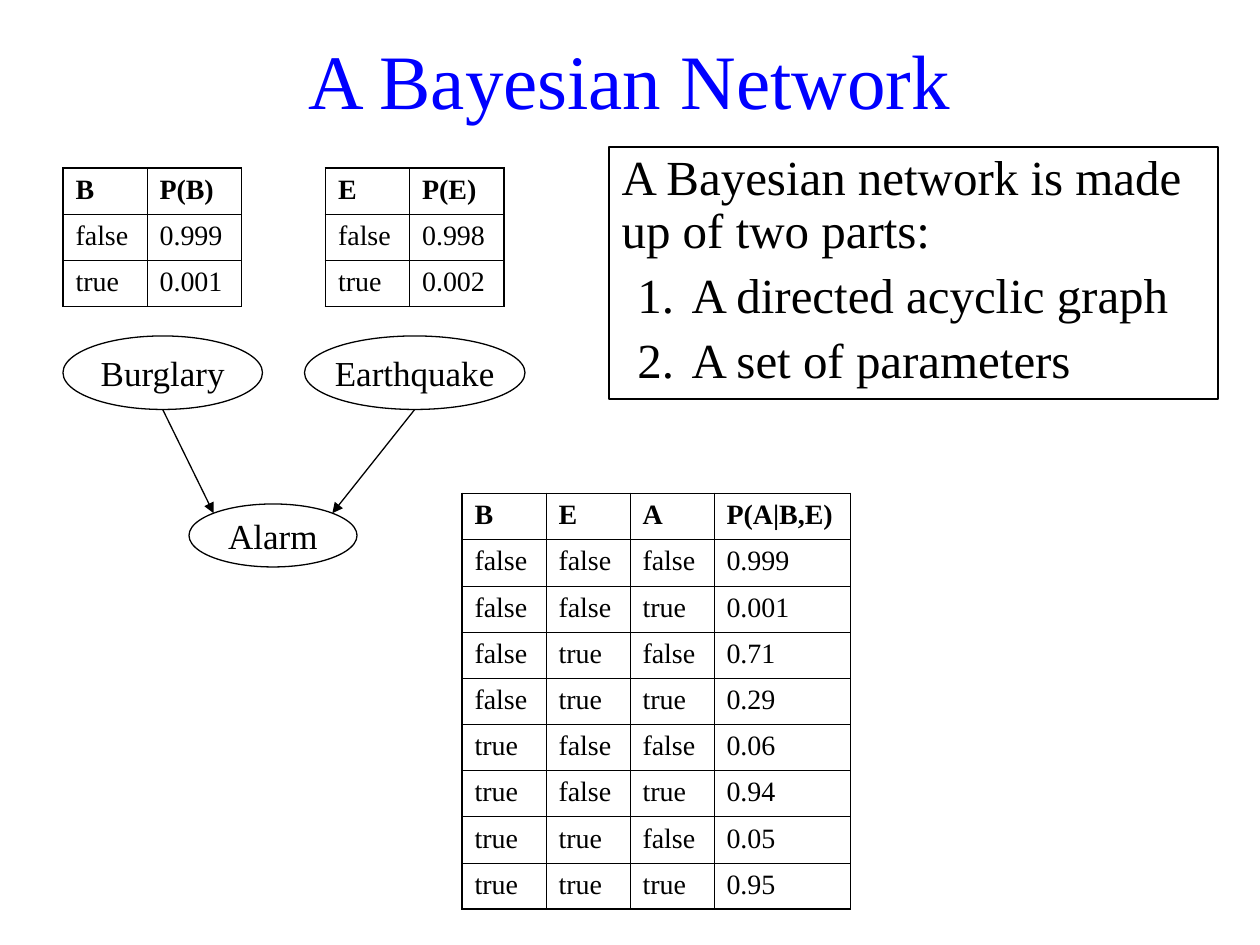
from dataclasses import dataclass
from itertools import product
from math import sqrt

from lxml.etree import SubElement
from pptx import Presentation
from pptx.dml.color import RGBColor
from pptx.enum.shapes import MSO_CONNECTOR, MSO_SHAPE
from pptx.enum.text import MSO_ANCHOR, MSO_AUTO_SIZE, PP_ALIGN
from pptx.oxml import parse_xml
from pptx.oxml.ns import nsdecls, qn
from pptx.util import Pt


@dataclass(frozen=True)
class Theme:
    font: str = "Times New Roman"
    ink: RGBColor = RGBColor(0, 0, 0)
    heading: RGBColor = RGBColor(0, 0, 0xFF)
    title_size: int = 44
    body_size: int = 28
    node_size: int = 20
    table_size: int = 16
    line: float = 0.75
    outer_border: float = 1.08
    inner_border: float = 0.45


THEME = Theme()
ROW_HEIGHT = 26.4
VALUE_WIDTH = 48


def add_span(para, text, size, color=THEME.ink, bold=False):
    span = para.add_run()
    span.text = text
    span.font.name = THEME.font
    span.font.size = Pt(size)
    span.font.color.rgb = color
    span.font.bold = bold


def place(shape, left, top, width, height):
    shape.left, shape.top = Pt(left), Pt(top)
    shape.width, shape.height = Pt(width), Pt(height)


def draw_line(line):
    line.color.rgb = THEME.ink
    line.width = Pt(THEME.line)


def fill_title(title, text):
    place(title, 54, 12, 612, 66)
    frame = title.text_frame
    frame.auto_size = MSO_AUTO_SIZE.NONE
    frame.vertical_anchor = MSO_ANCHOR.MIDDLE
    para = frame.paragraphs[0]
    para.alignment = PP_ALIGN.CENTER
    add_span(para, text, THEME.title_size, THEME.heading)


def set_list_style(para, numbered):
    properties = para._p.get_or_add_pPr()
    properties.set("marL", str(Pt(40 if numbered else 0)))
    properties.set("indent", str(Pt(-31 if numbered else 0)))
    if numbered:
        color = SubElement(properties, qn("a:buClr"))
        SubElement(color, qn("a:srgbClr"), val=str(THEME.ink))
        SubElement(properties, qn("a:buFont"), typeface=THEME.font)
        SubElement(properties, qn("a:buAutoNum"), type="arabicPeriod")
    else:
        SubElement(properties, qn("a:buNone"))


def fill_body(body, lead, items):
    place(body, 348, 84, 348, 144)
    draw_line(body.line)
    frame = body.text_frame
    frame.auto_size = MSO_AUTO_SIZE.NONE
    for index, text in enumerate([lead, *items]):
        para = frame.add_paragraph() if index else frame.paragraphs[0]
        set_list_style(para, numbered=index > 0)
        para.line_spacing = 0.9
        para.space_before = Pt(7 if index else 0)
        add_span(para, text, THEME.body_size)


def add_node(slide, text, left, top, width, height):
    node = slide.shapes.add_shape(
        MSO_SHAPE.OVAL, Pt(left), Pt(top), Pt(width), Pt(height))
    node.shadow.inherit = False
    node.fill.background()
    draw_line(node.line)
    frame = node.text_frame
    frame.word_wrap = False
    frame.vertical_anchor = MSO_ANCHOR.MIDDLE
    para = frame.paragraphs[0]
    para.alignment = PP_ALIGN.CENTER
    add_span(para, text, THEME.node_size)
    return node


def add_arrow(slide, parent, child, side):
    """Run from the parent's bottom to the child's upper left (-1) or right (1)."""
    diagonal = 1 / sqrt(2)
    end_x = child.left + child.width / 2 * (1 + side * diagonal)
    end_y = child.top + child.height / 2 * (1 - diagonal)
    arrow = slide.shapes.add_connector(
        MSO_CONNECTOR.STRAIGHT,
        parent.left + parent.width // 2, parent.top + parent.height,
        round(end_x), round(end_y))
    draw_line(arrow.line)
    SubElement(arrow.line._get_or_add_ln(), qn("a:tailEnd"), type="triangle")
    SubElement(arrow._element.spPr, qn("a:effectLst"))


def set_borders(cell, outer_sides):
    properties = cell._tc.get_or_add_tcPr()
    for position, side in enumerate("LRTB"):
        width = THEME.outer_border if side in outer_sides else THEME.inner_border
        properties.insert(position, parse_xml(
            f'<a:ln{side} {nsdecls("a")} w="{Pt(width)}"><a:solidFill>'
            f'<a:srgbClr val="{THEME.ink}"/></a:solidFill></a:ln{side}>'))


def add_probability_table(slide, left, top, last_width, rows):
    row_count, column_count = len(rows), len(rows[0])
    widths = [VALUE_WIDTH] * (column_count - 1) + [last_width]
    table = slide.shapes.add_table(
        row_count, column_count, Pt(left), Pt(top),
        Pt(sum(widths)), Pt(ROW_HEIGHT * row_count)).table
    table.first_row = table.horz_banding = False
    for column, width in zip(table.columns, widths):
        column.width = Pt(width)
    for row in table.rows:
        row.height = Pt(ROW_HEIGHT)
    for i, j in product(range(row_count), range(column_count)):
        cell = table.cell(i, j)
        cell.fill.background()
        edges = {"L": j == 0, "R": j == column_count - 1,
                 "T": i == 0, "B": i == row_count - 1}
        set_borders(cell, [side for side, outer in edges.items() if outer])
        add_span(cell.text_frame.paragraphs[0], rows[i][j],
                 THEME.table_size, bold=i == 0)


def main():
    deck = Presentation()
    deck.slide_width, deck.slide_height = Pt(720), Pt(540)
    page = deck.slides.add_slide(deck.slide_layouts[1])

    # Title and explanation
    fill_title(page.shapes.title, "A Bayesian Network")
    fill_body(page.placeholders[1],
              "A Bayesian network is made up of two parts:",
              ["A directed acyclic graph", "A set of parameters"])

    # Directed acyclic graph
    alarm = add_node(page, "Alarm", 108, 288, 96, 36)
    burglary = add_node(page, "Burglary", 36, 192, 114, 42)
    earthquake = add_node(page, "Earthquake", 174, 192, 126, 42)
    add_arrow(page, burglary, alarm, -1)
    add_arrow(page, earthquake, alarm, 1)

    # Prior probabilities
    for name, left, chances in (("B", 36, ("0.999", "0.001")),
                                ("E", 186, ("0.998", "0.002"))):
        add_probability_table(page, left, 96, 54, [
            (name, f"P({name})"), *zip(("false", "true"), chances)])

    # Conditional probabilities of the alarm
    chances = ("0.999", "0.001", "0.71", "0.29", "0.06", "0.94", "0.05", "0.95")
    cases = product(("false", "true"), repeat=3)
    add_probability_table(page, 264, 282, 78, [
        ("B", "E", "A", "P(A|B,E)"),
        *((*case, chance) for case, chance in zip(cases, chances))])

    deck.save("out.pptx")


if __name__ == "__main__":
    main()
